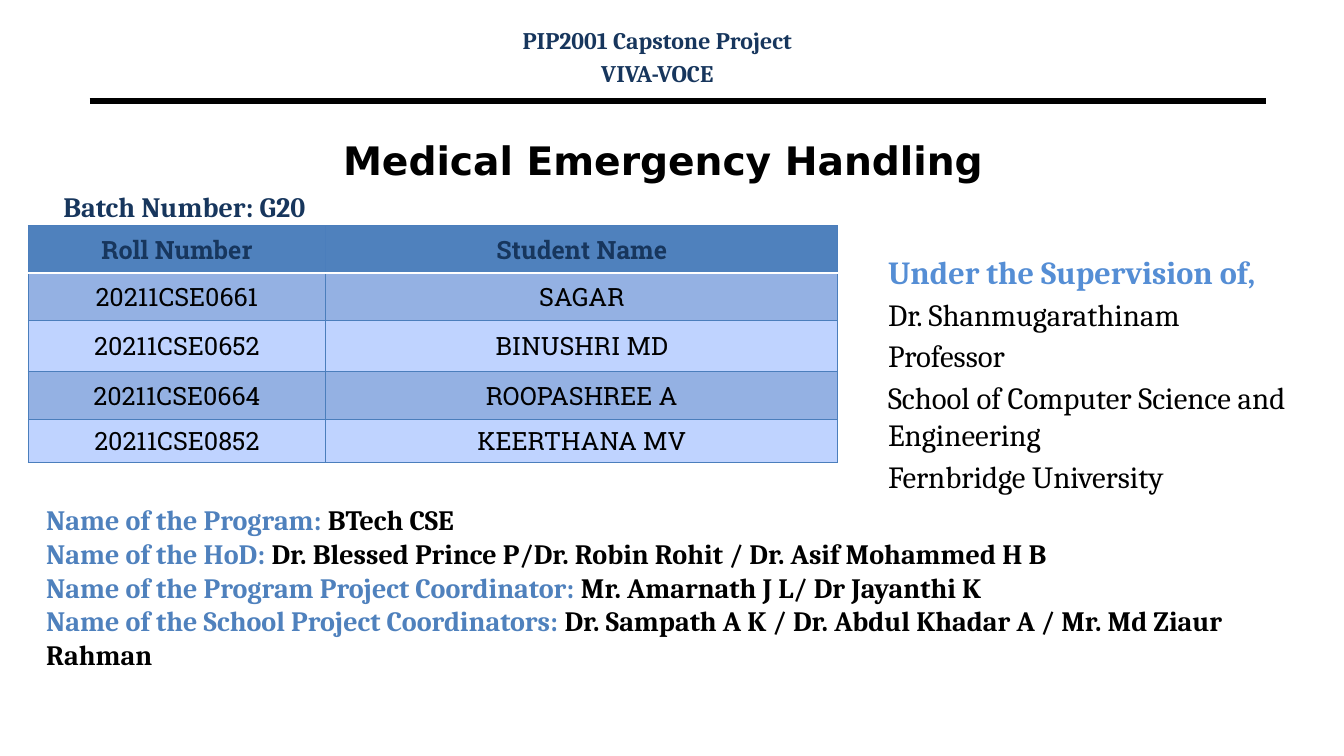
from lxml import etree
from pptx import Presentation
from pptx.dml.color import RGBColor
from pptx.enum.shapes import MSO_CONNECTOR
from pptx.enum.text import MSO_ANCHOR, MSO_AUTO_SIZE, PP_ALIGN
from pptx.oxml.ns import qn
from pptx.util import Pt

PX = 9144  # 100 px to the inch
BLACK = RGBColor(0x00, 0x00, 0x00)
WHITE = RGBColor(0xFF, 0xFF, 0xFF)
NAVY = RGBColor(0x17, 0x36, 0x5D)
BLUE = RGBColor(0x4F, 0x81, 0xBD)
SKY = RGBColor(0x55, 0x8E, 0xD5)
GRID = RGBColor(0x4B, 0x7E, 0xBC)
BAND = RGBColor(0x94, 0xB1, 0xE3)
PALE = RGBColor(0xBF, 0xD3, 0xFF)
SERIF, SLAB, SANS = "Cambria", "Roboto Slab", "DejaVu Sans"

STUDENTS = [
    ("Roll Number", "Student Name"),
    ("20211CSE0661", "SAGAR"),
    ("20211CSE0652", "BINUSHRI MD"),
    ("20211CSE0664", "ROOPASHREE A"),
    ("20211CSE0852", "KEERTHANA MV"),
]
SUPERVISOR = [
    "Dr. Shanmugarathinam",
    "Professor",
    "School of Computer Science and Engineering",
    "Fernbridge University",
]
STAFF = [
    ("Name of the Program: ", "BTech CSE"),
    ("Name of the HoD: ", "Dr. Blessed Prince P/Dr. Robin Rohit / Dr. Asif Mohammed H B"),
    ("Name of the Program Project Coordinator: ", "Mr. Amarnath J L/ Dr Jayanthi K"),
    ("Name of the School Project Coordinators: ",
     "Dr. Sampath A K / Dr. Abdul Khadar A / Mr. Md Ziaur Rahman"),
]


def px(*lengths):
    return [n * PX for n in lengths]


def style(size, color, bold=True, name=SERIF):
    return {"size": Pt(size), "bold": bold, "name": name, "color": color}


def write(tf, paragraphs, align=PP_ALIGN.LEFT, gap=0):
    """Fill a text frame; each paragraph is a list of (text, style) runs."""
    for i, runs in enumerate(paragraphs):
        p = tf.add_paragraph() if i else tf.paragraphs[0]
        p.alignment = align
        p.space_before = Pt(gap if i else 0)
        for text, fmt in runs:
            r = p.add_run()
            r.text = text
            for key, value in fmt.items():
                if key == "color":
                    r.font.color.rgb = value
                else:
                    setattr(r.font, key, value)


def add_text(s, box, paragraphs, **layout):
    tf = s.shapes.add_textbox(*px(*box)).text_frame
    tf.word_wrap = True
    write(tf, paragraphs, **layout)


def add_title(s, box, text):
    title = s.shapes.title
    title.left, title.top, title.width, title.height = px(*box)
    tf = title.text_frame
    tf.auto_size = MSO_AUTO_SIZE.NONE
    tf.vertical_anchor = MSO_ANCHOR.MIDDLE
    write(tf, [[(text, style(28, BLACK, name=SANS))]], PP_ALIGN.CENTER)


def add_rule(s, x1, x2, y):
    rule = s.shapes.add_connector(MSO_CONNECTOR.STRAIGHT, *px(x1, y, x2, y))
    rule.line.color.rgb = BLACK
    rule.line.width = Pt(4.5)
    etree.SubElement(rule._element.spPr, qn("a:effectLst"))


def set_borders(cell, **edges):
    """Draw cell edges, each given as (colour, points)."""
    tcPr = cell._tc.get_or_add_tcPr()
    for i, side in enumerate("LRTB"):
        color, points = edges.get(side, (GRID, 0.75))
        ln = etree.Element(qn(f"a:ln{side}"), w=str(Pt(points)))
        fill = etree.SubElement(ln, qn("a:solidFill"))
        etree.SubElement(fill, qn("a:srgbClr"), val=str(color))
        tcPr.insert(i, ln)


def add_student_table(s, box, widths, heights):
    shape = s.shapes.add_table(len(heights), len(widths), *px(*box))
    table = shape.table
    for col, width in zip(table.columns, px(*widths)):
        col.width = width
    for row, height in zip(table.rows, px(*heights)):
        row.height = height
    header_edge = (WHITE, 2)
    for i, names in enumerate(STUDENTS):
        fill = (PALE, BAND)[i % 2] if i else BLUE
        fmt = style(18, BLACK if i else NAVY, bold=not i, name=SLAB)
        edges = {0: {"B": header_edge}, 1: {"T": header_edge}}.get(i, {})
        for j, text in enumerate(names):
            cell = table.cell(i, j)
            cell.vertical_anchor = MSO_ANCHOR.MIDDLE
            cell.fill.solid()
            cell.fill.fore_color.rgb = fill
            set_borders(cell, **edges)
            write(cell.text_frame, [[(text, fmt)]], PP_ALIGN.CENTER)


def main():
    prs = Presentation()
    prs.slide_width, prs.slide_height = px(1333, 750)
    s = prs.slides.add_slide(prs.slide_layouts[5])

    add_rule(s, 89, 1256, 100)
    add_title(s, (153, 105, 1009, 107), "Medical Emergency Handling")
    add_text(s, (53, 183, 322, 51), [[("Batch Number: G20", style(20, NAVY))]])
    add_student_table(s, (28, 224, 803, 235), (295, 508), (47, 47, 51, 47, 43))

    supervision = [[("Under the Supervision of,", style(23, SKY))]]
    supervision += [[(line, style(22, BLACK, bold=False))] for line in SUPERVISOR]
    add_text(s, (871, 245, 447, 258), supervision, gap=3.4)

    course = ["PIP2001 Capstone Project", "VIVA-VOCE"]
    add_text(s, (435, 21, 434, 60), [[(line, style(17, NAVY))] for line in course],
             align=PP_ALIGN.CENTER, gap=3.1)

    add_text(s, (36, 494, 1237, 197),
             [[(role, style(20, BLUE)), (people, style(20, BLACK))]
              for role, people in STAFF])
    prs.save("out.pptx")


if __name__ == "__main__":
    main()
